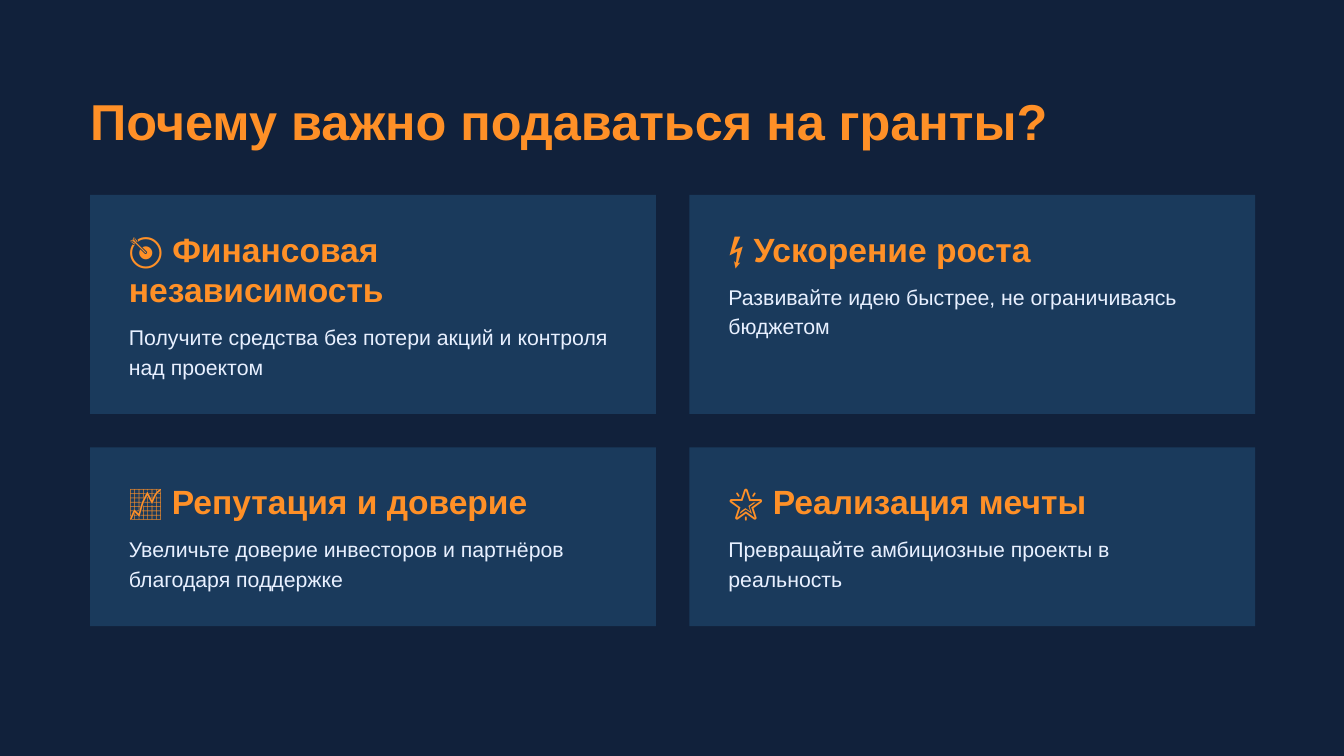
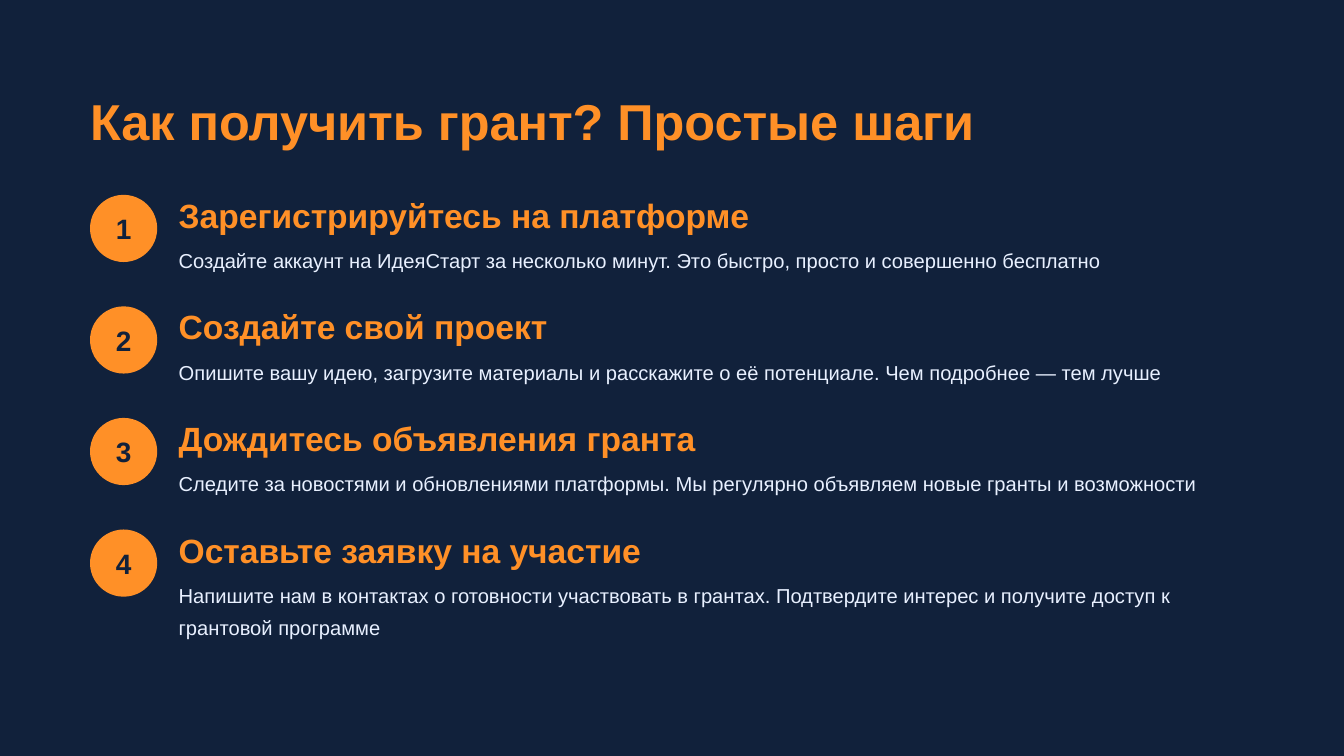
import pptx
import pptx.util
import pptx.dml.color
import pptx.enum.shapes
import pptx.enum.text

Inches = pptx.util.Inches
Pt = pptx.util.Pt
SHAPES = pptx.enum.shapes.MSO_SHAPE
ALIGN = pptx.enum.text.PP_ALIGN
ANCHOR = pptx.enum.text.MSO_ANCHOR

NAVY, PANEL, ORANGE, PALE = "11213B", "1A3A5C", "FF9027", "E8F0FF"
FONT = "Arial"
SLIDE_WIDTH = 10
LEFT, TOP = 0.67, 1.45

TITLE = dict(size=27, color=ORANGE, bold=True, spacing=32.4)
HEADING = dict(size=18, color=ORANGE, bold=True, spacing=21.6)
CARD_BODY = dict(size=11.4, color=PALE, spacing=16)
STEP_BODY = dict(size=10.8, color=PALE, spacing=17.3)
NUMBER = dict(size=15, color=NAVY, bold=True, align=ALIGN.CENTER, anchor=ANCHOR.MIDDLE)

REASONS_TITLE = "Почему важно подаваться на гранты?"
REASON_ROWS = [
    (2, [
        ("🎯 Финансовая независимость", 2,
         "Получите средства без потери акций и контроля над проектом"),
        ("⚡ Ускорение роста", 1,
         "Развивайте идею быстрее, не ограничиваясь бюджетом"),
    ]),
    (1, [
        ("📈 Репутация и доверие", 1,
         "Увеличьте доверие инвесторов и партнёров благодаря поддержке"),
        ("🌟 Реализация мечты", 1,
         "Превращайте амбициозные проекты в реальность"),
    ]),
]

STEPS_TITLE = "Как получить грант? Простые шаги"
STEPS = [
    ("Зарегистрируйтесь на платформе", 8.16, 1,
     "Создайте аккаунт на ИдеяСтарт за несколько минут. Это быстро, просто и совершенно бесплатно"),
    ("Создайте свой проект", 8.16, 1,
     "Опишите вашу идею, загрузите материалы и расскажите о её потенциале. Чем подробнее — тем лучше"),
    ("Дождитесь объявления гранта", 8.16, 1,
     "Следите за новостями и обновлениями платформы. Мы регулярно объявляем новые гранты и возможности"),
    ("Оставьте заявку на участие", 8, 2,
     "Напишите нам в контактах о готовности участвовать в грантах. "
     "Подтвердите интерес и получите доступ к грантовой программе"),
]


def rgb(color):
    return pptx.dml.color.RGBColor.from_string(color)


def write(box, text, size, color, bold=False, spacing=None, align=ALIGN.LEFT, anchor=ANCHOR.TOP):
    frame = box.text_frame
    frame.margin_left = frame.margin_right = frame.margin_top = frame.margin_bottom = 0
    frame.word_wrap = True
    frame.auto_size = pptx.enum.text.MSO_AUTO_SIZE.NONE
    frame.vertical_anchor = anchor
    para = frame.paragraphs[0]
    para.alignment = align
    para.space_before = Pt(0)
    if spacing:
        para.line_spacing = Pt(spacing)
    span = para.add_run()
    span.text = text
    span.font.name = FONT
    span.font.size = Pt(size)
    span.font.bold = bold
    span.font.color.rgb = rgb(color)


def add_text(page, place, text, **style):
    write(page.shapes.add_textbox(*map(Inches, place)), text, **style)


def add_panel(page, kind, place, color):
    panel = page.shapes.add_shape(kind, *map(Inches, place))
    panel.shadow.inherit = False
    panel.fill.solid()
    panel.fill.fore_color.rgb = rgb(color)
    panel.line.fill.background()
    return panel


def add_page(deck, title):
    page = deck.slides.add_slide(deck.slide_layouts[5])
    box = page.shapes.title
    box.left, box.top, box.width, box.height = map(Inches, (LEFT, 0.67, 8.84, 0.45))
    write(box, title, **TITLE)
    return page


def add_reasons(deck):
    page = add_page(deck, REASONS_TITLE)
    card_width, gap, line, body_height = 4.21, 0.25, 0.3, 0.44
    pad_x, pad_y, body_gap = 0.29, 0.25, 0.08
    top = TOP
    for row_lines, cards in REASON_ROWS:
        height = 2 * pad_y + row_lines * line + body_gap + body_height + 0.01
        for column, (heading, lines, body) in enumerate(cards):
            left = LEFT + column * (card_width + gap)
            text_left, text_width = left + pad_x, 3.67
            heading_top = top + pad_y
            body_top = heading_top + lines * line + body_gap
            add_panel(page, SHAPES.RECTANGLE, (left, top, card_width, height), PANEL)
            add_text(page, (text_left, heading_top, text_width, lines * line), heading, **HEADING)
            add_text(page, (text_left, body_top, text_width, body_height), body, **CARD_BODY)
        top += height + gap


def add_steps(deck):
    page = add_page(deck, STEPS_TITLE)
    pitch, badge_size, text_left = 0.83, 0.5, 1.33
    for index, (heading, body_width, lines, body) in enumerate(STEPS):
        top = TOP + index * pitch
        badge = add_panel(page, SHAPES.ROUNDED_RECTANGLE, (LEFT, top, badge_size, badge_size), ORANGE)
        badge.adjustments[0] = 0.5
        write(badge, str(index + 1), **NUMBER)
        add_text(page, (text_left, top, 8.16, 0.3), heading, **HEADING)
        add_text(page, (text_left, top + 0.34, body_width, lines * 0.24), body, **STEP_BODY)


def main():
    deck = pptx.Presentation()
    deck.slide_width, deck.slide_height = Inches(SLIDE_WIDTH), Inches(SLIDE_WIDTH * 9 / 16)
    background = deck.slide_master.background.fill
    background.solid()
    background.fore_color.rgb = rgb(NAVY)
    add_reasons(deck)
    add_steps(deck)
    deck.save("out.pptx")


if __name__ == "__main__":
    main()
